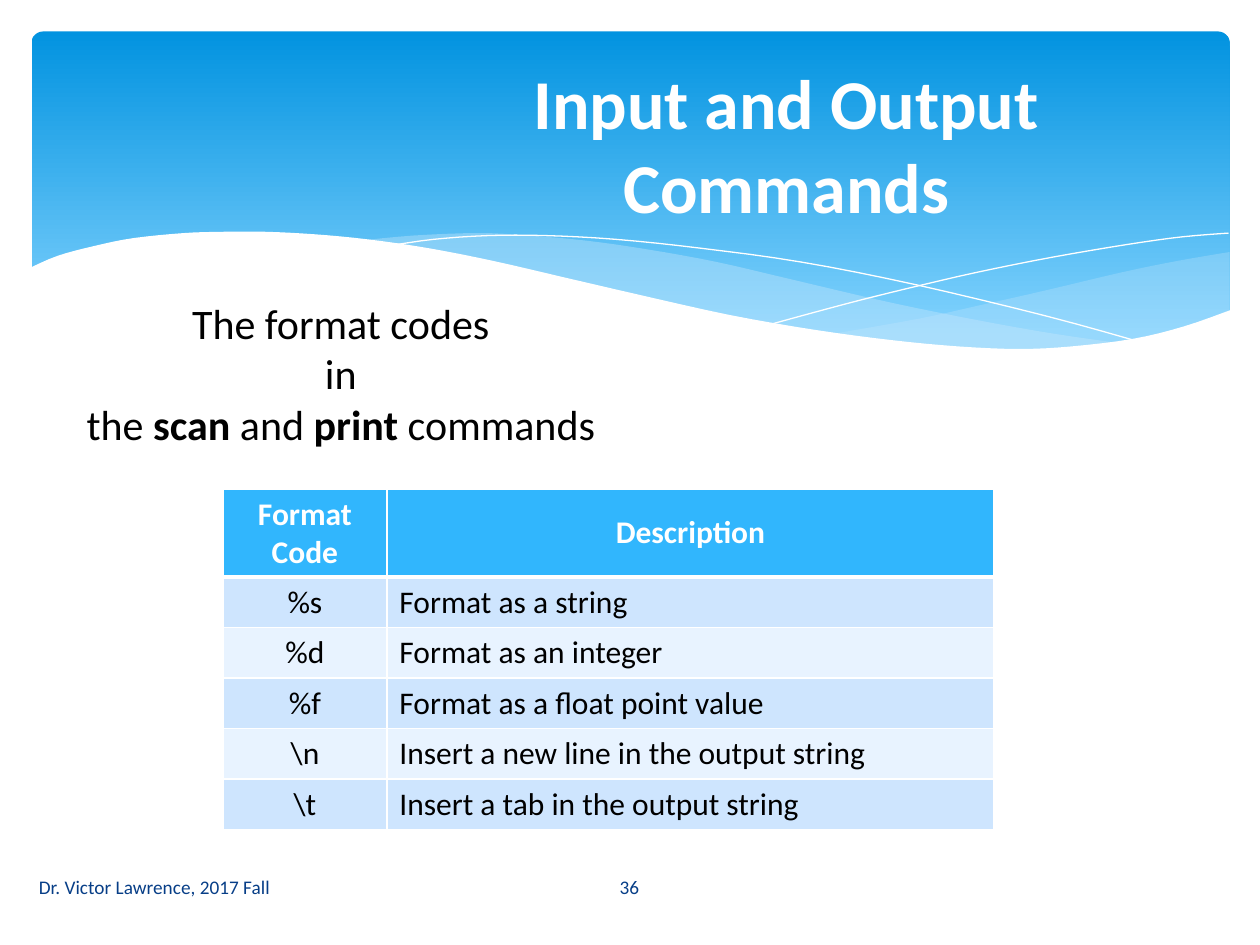
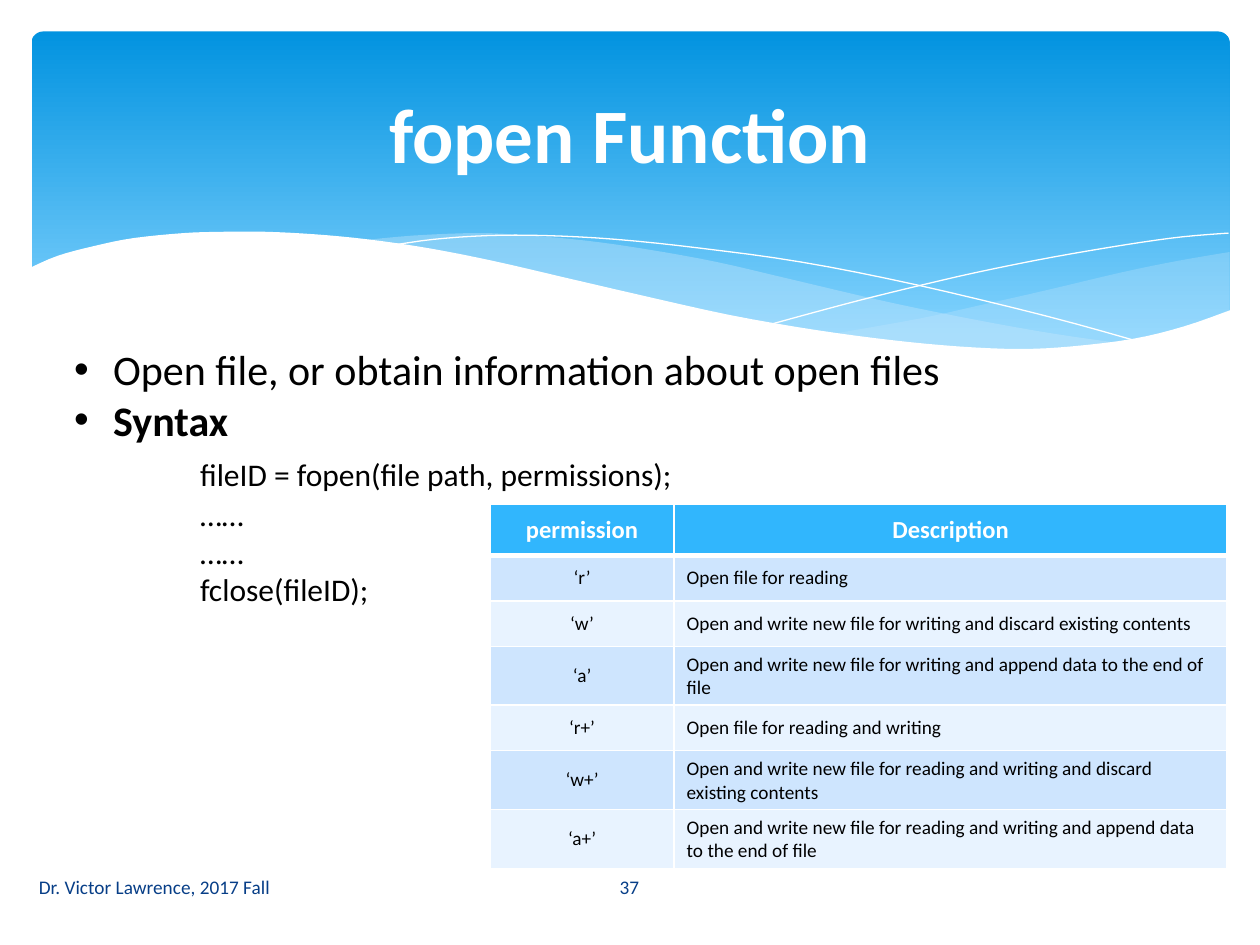
from dataclasses import dataclass

import lxml.etree
import pptx
import pptx.dml.color
import pptx.enum.shapes
import pptx.enum.text
import pptx.oxml
import pptx.oxml.ns
import pptx.util

Inches = pptx.util.Inches
Pt = pptx.util.Pt
ALIGN = pptx.enum.text.PP_ALIGN
ANCHOR = pptx.enum.text.MSO_ANCHOR
qn = pptx.oxml.ns.qn


@dataclass(frozen=True)
class Theme:
    font: str = "Calibri"
    white: str = "FFFFFF"
    black: str = "000000"
    banner_top: str = "0293E0"
    banner_bottom: str = "83D3FE"
    wave: str = "C6E7FC"
    footer: str = "073E87"
    header_fill: str = "31B6FD"
    row_fills: tuple = ("CEE5FE", "E8F3FF")
    body_size: int = 24
    code_size: int = 18
    footer_size: int = 11


FOOTER = "Dr. Victor Lawrence, 2017 Fall"

# Each outline is a list of curves; a curve is a list of points it passes through.
RIGHT_WAVE = [
    [(9.76, 2), (9.35, 2.07), (8.91, 2.16), (8.32, 2.3), (7.79, 2.42), (7.29, 2.53), (6.61, 2.65)],
    [(6.61, 2.65), (7.05, 2.71), (7.57, 2.76), (8.03, 2.78), (8.54, 2.76), (8.97, 2.7),
     (9.35, 2.62), (9.76, 2.47)],
]
MIDDLE_WAVE = [
    [(8.93, 2.73), (8.37, 2.65), (7.75, 2.54), (7.06, 2.4), (6.29, 2.22), (5.69, 2.08),
     (5.14, 1.98), (4.65, 1.91), (4.2, 1.87), (3.8, 1.85), (3.28, 1.87), (2.86, 1.91)],
    [(2.86, 1.91), (3.42, 1.99), (4.04, 2.11), (4.49, 2.22), (5.3, 2.4), (6.01, 2.55),
     (6.65, 2.66), (7.22, 2.74), (7.73, 2.77), (8.18, 2.78), (8.57, 2.77), (8.93, 2.73)],
]
FALLING_LINE = [
    [(3.09, 1.95), (3.44, 1.9), (3.87, 1.87), (4.33, 1.87), (4.89, 1.9), (5.56, 1.97),
     (6.36, 2.08), (7.27, 2.26), (8.31, 2.51), (9.07, 2.72)],
]
RISING_LINE = [
    [(6.13, 2.57), (6.72, 2.41), (7.2, 2.29), (7.76, 2.16), (8.36, 2.04), (8.95, 1.94),
     (9.38, 1.88), (9.75, 1.85)],
]
WHITE_WAVE = [
    [(9.77, 2.46), (9.4, 2.59), (8.99, 2.69), (8.5, 2.75), (8.09, 2.77), (7.61, 2.75),
     (7.08, 2.7), (6.48, 2.62), (5.79, 2.5), (5.03, 2.33), (4.47, 2.2), (3.91, 2.07),
     (3.4, 1.97), (2.92, 1.9), (2.5, 1.86), (2.11, 1.84), (1.77, 1.84), (1.46, 1.85),
     (1.06, 1.89), (0.76, 1.95), (0.46, 2.03), (0.23, 2.13)],
    [(0.23, 3.29), (9.77, 3.29)],
]


def smooth(points, steps=4):
    """Sample a Catmull-Rom curve through the points."""
    padded = [points[0], *points, points[-1]]
    samples = [points[0]]
    for before, start, end, after in zip(padded, padded[1:], padded[2:], padded[3:]):
        for step in range(1, steps + 1):
            t = step / steps
            samples.append(tuple(
                0.5 * (2 * b + (c - a) * t + (2 * a - 5 * b + 4 * c - d) * t ** 2
                       + (3 * b - a - 3 * c + d) * t ** 3)
                for a, b, c, d in zip(before, start, end, after)))
    return samples


def rgb(value):
    return pptx.dml.color.RGBColor.from_string(value)


class Deck:
    def __init__(self, theme):
        self.theme = theme
        self.presentation = pptx.Presentation()
        self.presentation.slide_width = Inches(10)
        self.presentation.slide_height = Inches(7.5)
        self.slide = None

    def start_slide(self, title, title_box, title_size, number):
        layout = self.presentation.slide_layouts[5]
        self.slide = self.presentation.slides.add_slide(layout)
        self.banner()
        self.title(title, title_box, title_size)
        footer = dict(size=self.theme.footer_size, color=self.theme.footer, anchor=ANCHOR.MIDDLE)
        self.text((4.36, 6.84, 1.27, 0.4), [str(number)], align=ALIGN.CENTER, **footer)
        self.text((0.21, 6.84, 4.14, 0.4), [FOOTER], **footer)

    def banner(self):
        theme = self.theme
        band = self.slide.shapes.add_shape(
            pptx.enum.shapes.MSO_SHAPE.ROUNDED_RECTANGLE,
            *map(Inches, (0.25, 0.25, 9.51, 2.7)))
        band.adjustments[0] = 0.034
        band.shadow.inherit = False
        band.line.fill.background()
        band.fill.gradient()
        band.fill.gradient_angle = 270
        for stop, color, position in zip(band.fill.gradient_stops,
                                         (theme.banner_top, theme.banner_bottom), (0, 0.9)):
            stop.color.rgb = rgb(color)
            stop.position = position
        self.outline(RIGHT_WAVE, fill=theme.wave, opacity=29)
        self.outline(MIDDLE_WAVE, fill=theme.wave, opacity=40)
        self.outline(FALLING_LINE, line=theme.white)
        self.outline(RISING_LINE, line=theme.white)
        self.outline(WHITE_WAVE, fill=theme.white)

    def outline(self, curves, fill=None, opacity=100, line=None):
        points = [tuple(map(Inches, point)) for curve in curves for point in smooth(curve)]
        builder = self.slide.shapes.build_freeform(*points[0])
        builder.add_line_segments(points[1:], close=fill is not None)
        shape = builder.convert_to_shape()
        shape.shadow.inherit = False
        if fill:
            shape.fill.solid()
            shape.fill.fore_color.rgb = rgb(fill)
            if opacity < 100:
                color = shape._element.spPr.find(f".//{qn('a:srgbClr')}")
                lxml.etree.SubElement(color, qn("a:alpha"), val=str(opacity * 1000))
        else:
            shape.fill.background()
        if line:
            shape.line.color.rgb = rgb(line)
            shape.line.width = Pt(0)
        else:
            shape.line.fill.background()

    def title(self, text, box, size):
        shape = self.slide.shapes.title
        # The placeholder comes first on a new slide; lift it above the banner.
        self.slide.shapes._spTree.append(shape._element)
        shape.left, shape.top, shape.width, shape.height = map(Inches, box)
        frame = shape.text_frame
        frame.text = text
        frame.word_wrap = True
        frame.auto_size = pptx.enum.text.MSO_AUTO_SIZE.NONE
        frame.vertical_anchor = ANCHOR.MIDDLE
        self.format(frame.paragraphs[0], size, self.theme.white, True, ALIGN.CENTER)

    def format(self, paragraph, size, color, bold=None, align=ALIGN.LEFT):
        paragraph.alignment = align
        font = paragraph.font
        font.name = self.theme.font
        font.size = Pt(size)
        font.bold = bold
        font.color.rgb = rgb(color)

    def text(self, box, lines, size, color, align=ALIGN.LEFT, anchor=ANCHOR.TOP):
        """Add a text box; a line is a string or a list of (text, bold) runs."""
        frame = self.slide.shapes.add_textbox(*map(Inches, box)).text_frame
        frame.word_wrap = True
        frame.vertical_anchor = anchor
        for index, line in enumerate(lines):
            paragraph = frame.paragraphs[0] if index == 0 else frame.add_paragraph()
            for text, bold in [(line, None)] if isinstance(line, str) else line:
                run = paragraph.add_run()
                run.text = text
                run.font.bold = bold
            self.format(paragraph, size, color, align=align)
        return frame.paragraphs

    def indent(self, paragraph, left, first=0.0, bullet=None):
        properties = paragraph._p.get_or_add_pPr()
        properties.set("marL", str(Inches(left)))
        properties.set("indent", str(Inches(first)))
        if bullet:
            font = pptx.oxml.parse_xml(
                f'<a:buFont {pptx.oxml.ns.nsdecls("a")} typeface="Arial"/>')
            properties.insert(0, font)
            mark = lxml.etree.Element(qn("a:buChar"), char=bullet)
            font.addnext(mark)

    def table(self, left, top, widths, heights, rows, header_size, body_size):
        theme = self.theme
        table = self.slide.shapes.add_table(
            len(rows), len(widths), Inches(left), Inches(top),
            Inches(sum(widths)), Inches(sum(heights))).table
        for column, width in zip(table.columns, widths):
            column.width = Inches(width)
        for row, height in zip(table.rows, heights):
            row.height = Inches(height)
        for r, texts in enumerate(rows):
            header = r == 0
            for c, text in enumerate(texts):
                cell = table.cell(r, c)
                cell.text = text
                cell.vertical_anchor = ANCHOR.MIDDLE
                self.format(cell.text_frame.paragraphs[0],
                            header_size if header else body_size,
                            theme.white if header else theme.black, header,
                            ALIGN.CENTER if header or c == 0 else ALIGN.LEFT)
                self.borders(cell, top=3 if r == 1 else 1, bottom=3 if header else 1)
                cell.fill.solid()
                cell.fill.fore_color.rgb = rgb(
                    theme.header_fill if header else theme.row_fills[(r - 1) % 2])

    def borders(self, cell, top, bottom):
        properties = cell._tc.get_or_add_tcPr()
        for side, width in zip("LRTB", (1, 1, top, bottom)):
            line = lxml.etree.SubElement(properties, qn(f"a:ln{side}"), w=str(Pt(width)))
            fill = lxml.etree.SubElement(line, qn("a:solidFill"))
            lxml.etree.SubElement(fill, qn("a:srgbClr"), val=self.theme.white)


def format_codes_slide(deck):
    theme = deck.theme
    deck.start_slide("Input and Output Commands", (3.05, 0.35, 6.38, 1.57), 40, 36)
    deck.table(1.77, 3.88, (1.3, 4.82), [0.69] + [0.4] * 5, [
        ("Format Code", "Description"),
        ("%s", "Format as a string"),
        ("%d", "Format as an integer"),
        ("%f", "Format as a float point value"),
        (r"\n", "Insert a new line in the output string"),
        (r"\t", "Insert a tab in the output string"),
    ], header_size=18, body_size=18)
    deck.text((0.42, 2.31, 4.57, 1.31), [
        "The format codes",
        "in",
        [("the ", None), ("scan ", True), ("and ", None), ("print", True), (" commands", None)],
    ], theme.body_size, theme.black, ALIGN.CENTER)


def fopen_slide(deck):
    theme = deck.theme
    deck.start_slide("fopen Function", (0.5, 0.37, 9, 1.37), 44, 37)
    paragraphs = deck.text((0.49, 2.68, 7.9, 2.22), [
        "Open file, or obtain information about open files",
        [("Syntax", True)],
        "fileID = fopen(file path, permissions);",
        "……",
        "……",
        "fclose(fileID);",
    ], theme.body_size, theme.black)
    for paragraph in paragraphs[:2]:
        deck.indent(paragraph, 0.31, -0.31, "•")
    for paragraph in paragraphs[2:]:
        deck.indent(paragraph, 1)
        paragraph.font.size = Pt(theme.code_size)
    paragraphs[2].space_before = Pt(6)
    paragraphs[2].space_after = Pt(1)
    one_line, two_lines = 0.36, 0.46
    deck.table(3.89, 4, (1.46, 4.39),
               (0.41, one_line, one_line, two_lines, one_line, two_lines, two_lines), [
        ("permission", "Description"),
        ("‘r’", "Open file for reading"),
        ("‘w’", "Open and write new file for writing and discard existing contents"),
        ("‘a’", "Open and write new file for writing and append data to the end of file"),
        ("‘r+’", "Open file for reading and writing"),
        ("‘w+’", "Open and write new file for reading and writing and discard existing contents"),
        ("‘a+’", "Open and write new file for reading and writing and append data to the end of file"),
    ], header_size=14, body_size=11)


def main():
    deck = Deck(Theme())
    format_codes_slide(deck)
    fopen_slide(deck)
    deck.presentation.save("out.pptx")


if __name__ == "__main__":
    main()
